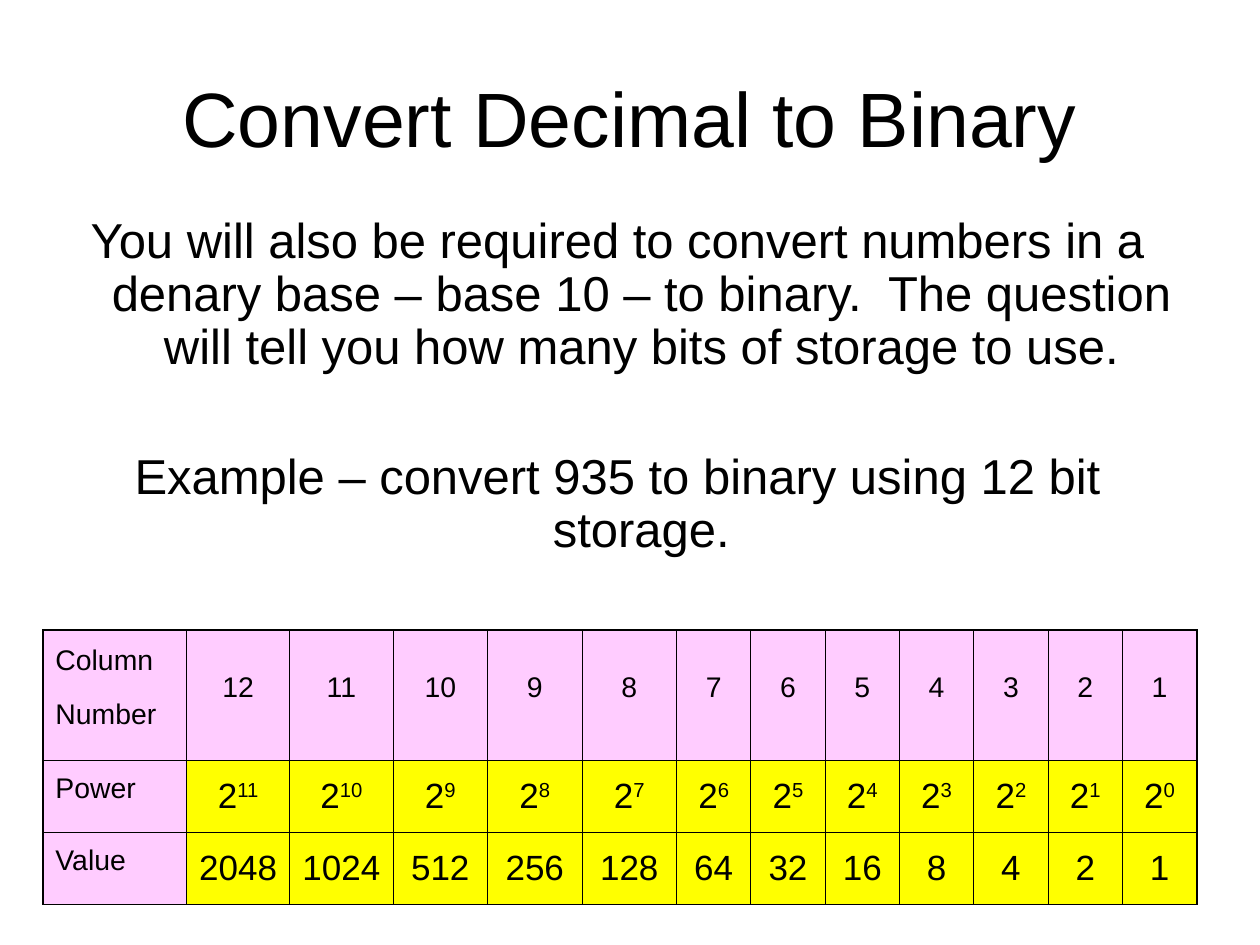
from lxml import etree
from pptx import Presentation
from pptx.dml.color import RGBColor
from pptx.enum import text as t
from pptx.oxml import ns
from pptx.util import Inches, Pt

HUES = {"ink": "000000", "pink": "FFCCFF", "gold": "FFFF00"}
TITLE = "Convert Decimal to Binary"
BODY = [
    "You will also be required to convert numbers in a denary base – base 10 – to binary.  "
    "The question will tell you how many bits of storage to use.",
    "Example – convert 935 to binary using 12 bit storage.",
]
HEADS = ["Column Number", "Power", "Value"]
BITS = range(12, 0, -1)
WIDTHS = [1.14] + [0.82] * 2 + [0.75] * 3 + [0.59] * 7
HEIGHTS = [1.03, 0.57, 0.57]
THICK, THIN = 1.08, 0.45


def write(para, text, size=28, up="", align=t.PP_ALIGN.CENTER):
    para.alignment = align
    for part, base in ((text, 0), (up, 30000)):
        if part:
            run = para.add_run()
            run.text = part
            font = run.font
            font.size, font.name = Pt(size), "Arial"
            font.color.rgb = RGBColor.from_string(HUES["ink"])
            if base:
                run._r.get_or_add_rPr().set("baseline", str(base))


def add_box(slide, left, top, width, height, anchor):
    box = slide.shapes.add_textbox(*map(Inches, (left, top, width, height)))
    frame = box.text_frame
    frame.word_wrap, frame.vertical_anchor = True, anchor
    return frame


def edge(cell, side, width):
    line = etree.SubElement(cell._tc.get_or_add_tcPr(), ns.qn("a:ln" + side), w=str(Pt(width)))
    fill = etree.SubElement(line, ns.qn("a:solidFill"))
    etree.SubElement(fill, ns.qn("a:srgbClr"), val=HUES["ink"])


def add_grid(slide):
    rows = [
        [("", HEADS[0])] + [("", str(n)) for n in BITS],
        [("", HEADS[1])] + [("2", str(n - 1)) for n in BITS],
        [("", HEADS[2])] + [(str(2 ** (n - 1)), "") for n in BITS],
    ]
    area = map(Inches, (0.34, 5, sum(WIDTHS), sum(HEIGHTS)))
    table = slide.shapes.add_table(len(rows), len(WIDTHS), *area).table
    table.first_row = table.horz_banding = False
    for col, width in zip(table.columns, WIDTHS):
        col.width = Inches(width)
    for row, height in zip(table.rows, HEIGHTS):
        row.height = Inches(height)
    for r, row in enumerate(rows):
        for c, (text, up) in enumerate(row):
            cell = table.cell(r, c)
            cell.vertical_anchor = t.MSO_ANCHOR.MIDDLE
            edge(cell, "L", THIN if c else THICK)
            edge(cell, "R", THICK if c == len(row) - 1 else THIN)
            edge(cell, "T", THIN if r else THICK)
            edge(cell, "B", THIN)
            cell.fill.solid()
            label = r == 0 or c == 0
            cell.fill.fore_color.rgb = RGBColor.from_string(HUES["pink" if label else "gold"])
            write(cell.text_frame.paragraphs[0], text, size=28 if label else 20, up=up,
                  align=t.PP_ALIGN.CENTER if c else t.PP_ALIGN.LEFT)


def main():
    deck = Presentation()
    deck.slide_width, deck.slide_height = Inches(10), Inches(7.5)
    slide = deck.slides.add_slide(deck.slide_layouts[6])
    frame = add_box(slide, 0.5, 0.3, 9, 1.25, t.MSO_ANCHOR.MIDDLE)
    write(frame.paragraphs[0], TITLE, size=44)
    frame = add_box(slide, 0.33, 1.67, 9.14, 3.07, t.MSO_ANCHOR.TOP)
    for i, line in enumerate(BODY):
        para = frame.add_paragraph() if i else frame.paragraphs[0]
        para.line_spacing = 0.9
        if i:
            para.space_before = Pt(44)
        props = para._p.get_or_add_pPr()
        props.set("marL", str(Inches(0.38)))
        props.set("indent", str(Inches(-0.38)))
        write(para, line)
    add_grid(slide)
    deck.save("out.pptx")


if __name__ == "__main__":
    main()
